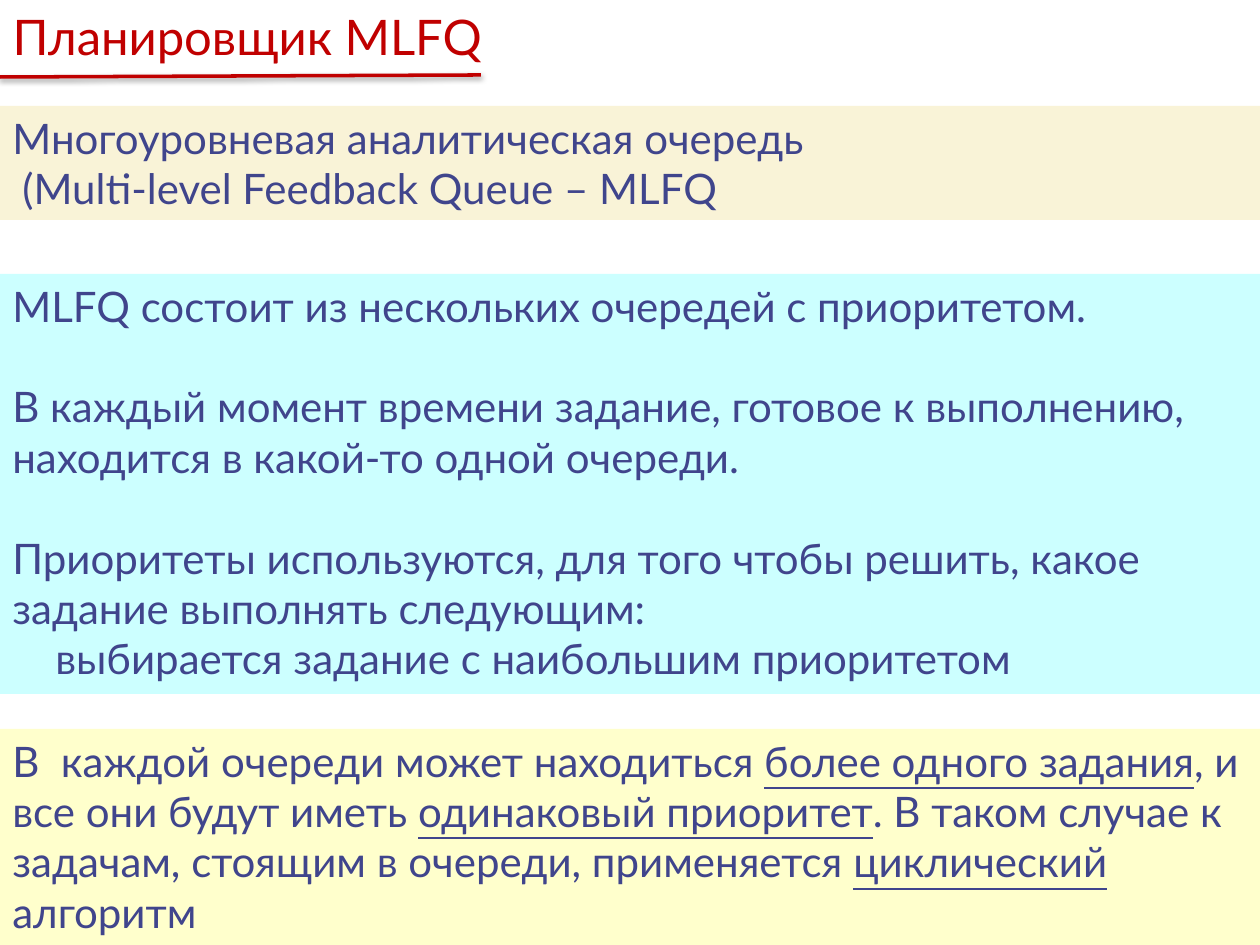
from dataclasses import dataclass

from lxml.etree import SubElement
from pptx import Presentation
from pptx.dml.color import RGBColor as RGB
from pptx.enum.shapes import MSO_CONNECTOR as LINK, MSO_SHAPE as SHAPE
from pptx.enum.text import MSO_ANCHOR as ANCHOR, MSO_AUTO_SIZE as FIT, PP_ALIGN as ALIGN
from pptx.oxml.ns import qn
from pptx.util import Emu, Pt

PX = 914400 // 126


@dataclass(frozen=True)
class Theme:
    font: str = "Lato"
    head: int = 28
    body: int = 24
    gap: float = 28.8
    red: str = "C00000"
    ink: str = "40458C"
    cream: str = "F9F3D7"
    cyan: str = "CCFFFF"
    lemon: str = "FFFFCC"


theme = Theme()


def px(n):
    return Emu(n * PX)


def style(run, size, color):
    run.font.name = theme.font
    run.font.size = Pt(size)
    run.font.color.rgb = RGB.from_string(color)


deck = Presentation()
deck.slide_width, deck.slide_height = px(1260), px(945)
slide = deck.slides.add_slide(deck.slide_layouts[5])

# Title and its rule
title = slide.shapes.title
title.left, title.top, title.width, title.height = px(0), px(0), px(1260), px(72)
frame = title.text_frame
frame.text = "Планировщик MLFQ"
frame.auto_size = FIT.NONE
frame.vertical_anchor = ANCHOR.TOP
frame.paragraphs[0].alignment = ALIGN.LEFT
style(frame.paragraphs[0].runs[0], theme.head, theme.red)

rule = slide.shapes.add_connector(LINK.STRAIGHT, px(0), px(77), px(481), px(75))
rule.line.color.rgb = RGB.from_string(theme.red)
rule.line.width = Pt(2)
effects = SubElement(rule._element.spPr, qn("a:effectLst"))
shade = SubElement(effects, qn("a:outerShdw"), blurRad=str(Pt(3.1)),
                   dist=str(Pt(1.6)), dir="5400000", rotWithShape="0")
tint = SubElement(shade, qn("a:srgbClr"), val="000000")
SubElement(tint, qn("a:alpha"), val="38000")

# Bands: top, height, fill, paragraphs of (indent, space before, parts);
# every second part is underlined
bands = [
    (106, 114, theme.cream, [
        (0, 0, ["Многоуровневая аналитическая очередь"]),
        (10, 0, ["(Multi-level Feedback Queue – MLFQ"]),
    ]),
    (274, 420, theme.cyan, [
        (0, 0, ["MLFQ состоит из нескольких очередей с приоритетом."]),
        (0, theme.gap, ["В каждый момент времени задание, готовое к выполнению, "
                        "находится в какой-то одной очереди."]),
        (0, theme.gap, ["Приоритеты используются, для того чтобы решить, какое "
                        "задание выполнять следующим:"]),
        (43, 0, ["выбирается задание с наибольшим приоритетом"]),
    ]),
    (729, 216, theme.lemon, [
        (0, 0, ["В  каждой очереди может находиться ", "более одного задания",
                ", и все они будут иметь ", "одинаковый приоритет",
                ". В таком случае к задачам, стоящим в очереди, применяется ",
                "циклический ", "алгоритм"]),
    ]),
]

for top, height, fill, rows in bands:
    band = slide.shapes.add_shape(SHAPE.RECTANGLE, px(0), px(top), px(1260), px(height))
    band.shadow.inherit = False
    band.fill.solid()
    band.fill.fore_color.rgb = RGB.from_string(fill)
    band.line.fill.background()
    frame = band.text_frame
    frame.word_wrap = True
    frame.vertical_anchor = ANCHOR.TOP
    for i, (indent, gap, parts) in enumerate(rows):
        para = frame.add_paragraph() if i else frame.paragraphs[0]
        para.alignment = ALIGN.LEFT
        if indent:
            para._p.get_or_add_pPr().set("marL", str(px(indent)))
        if gap:
            para.space_before = Pt(gap)
        for j, part in enumerate(parts):
            run = para.add_run()
            run.text = part
            style(run, theme.body, theme.ink)
            if j % 2:
                run.font.underline = True

deck.save("out.pptx")
